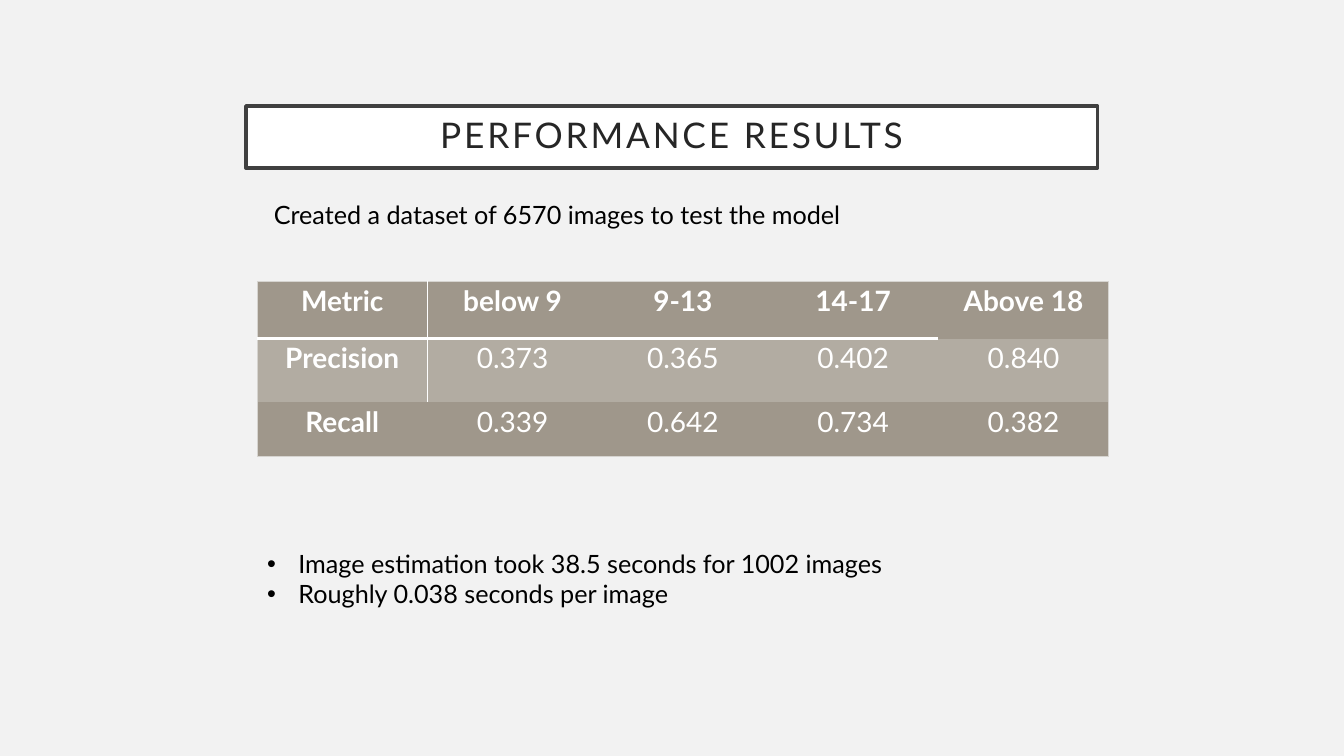
from pptx import Presentation
from pptx.dml.color import RGBColor as Rgb
from pptx.enum.text import MSO_ANCHOR as Anchor, PP_ALIGN as Align
from pptx.oxml.ns import qn
from pptx.util import Cm, Pt
from lxml.etree import SubElement as Sub

HUES = {
    "back": "F2F2F2", "white": "FFFFFF", "frame": "404040", "title": "262626",
    "text": "000000", "dark": "9F978B", "light": "B2ACA2", "edge": "D6D4D0",
}


def hue(name):
    return Rgb.from_string(HUES[name])


class Deck:
    """Holds the style and the current slide."""

    font = "Lato"

    def __init__(self):
        self.file = Presentation()
        self.file.slide_width, self.file.slide_height = Cm(33.87), Cm(19.05)
        self.slide = self.file.slides.add_slide(self.file.slide_layouts[5])
        fill = self.slide.background.fill
        fill.solid()
        fill.fore_color.rgb = hue("back")

    def run(self, para, text, size, color, bold=False):
        run = para.add_run()
        run.text = text
        font = run.font
        font.name, font.size, font.bold = self.font, Pt(size), bold
        font.color.rgb = hue(color)
        return run

    def title(self, text, box):
        shape = self.slide.shapes.title
        shape.left, shape.top, shape.width, shape.height = map(Cm, box)
        shape.fill.solid()
        shape.fill.fore_color.rgb = hue("white")
        shape.line.color.rgb = hue("frame")
        shape.line.width = Pt(2.5)
        frame = shape.text_frame
        frame.vertical_anchor = Anchor.MIDDLE
        frame.margin_left = frame.margin_right = Cm(0.5)
        frame.margin_top = frame.margin_bottom = Cm(0.5)
        para = frame.paragraphs[0]
        para.alignment, para.line_spacing = Align.CENTER, 0.9
        run = self.run(para, text, 25.2, "title")
        run.font._element.set("spc", "200")

    def text(self, lines, box, bullet=False):
        frame = self.slide.shapes.add_textbox(*map(Cm, box)).text_frame
        frame.word_wrap = True
        for i, line in enumerate(lines):
            para = frame.add_paragraph() if i else frame.paragraphs[0]
            if bullet:
                props = para._p.get_or_add_pPr()
                props.set("marL", str(Cm(0.79)))
                props.set("indent", str(-Cm(0.79)))
                Sub(props, qn("a:buFont"), typeface="Arial")
                Sub(props, qn("a:buChar"), char="•")
            self.run(para, line, 18, "text")

    def border(self, cell, side, color=None, width=0):
        line = Sub(cell._tc.get_or_add_tcPr(), qn("a:ln" + side), w=str(Pt(width)))
        if color:
            fill = Sub(line, qn("a:solidFill"))
            Sub(fill, qn("a:srgbClr"), val=HUES[color])
        else:
            Sub(line, qn("a:noFill"))

    def cell(self, cell, text, fill, bold, lines):
        for side in "LRTB":
            self.border(cell, side, *lines.get(side, ()))
        cell.fill.solid()
        cell.fill.fore_color.rgb = hue(fill)
        cell.margin_left = cell.margin_right = Cm(0.18)
        cell.margin_top = cell.margin_bottom = 0
        para = cell.text_frame.paragraphs[0]
        para.alignment, para.line_spacing = Align.CENTER, 1.07
        self.run(para, text, 20, "white", bold)

    def table(self, data, box, highs):
        rows, cols = len(data), len(data[0])
        grid = self.slide.shapes.add_table(rows, cols, *map(Cm, box)).table
        grid.first_row = grid.horz_banding = False
        for col in grid.columns:
            col.width = Cm(box[2] / cols)
        for row, high in zip(grid.rows, highs):
            row.height = Cm(high)
        edge, rule, bar = ("edge", 0.5), ("white", 2.5), ("white", 1)
        for r, line in enumerate(data):
            for c, text in enumerate(line):
                lines = {}
                # Outer edges
                if c == 0:
                    lines["L"] = edge
                if c == cols - 1:
                    lines["R"] = edge
                if r == 0:
                    lines["T"] = edge
                if r == rows - 1:
                    lines["B"] = edge
                # Rule under the header, bar beside the metric names
                if r < 2 and c < cols - 1:
                    lines["T" if r else "B"] = rule
                if r < rows - 1 and c < 2:
                    lines["L" if c else "R"] = bar
                fill = "light" if r % 2 else "dark"
                self.cell(grid.cell(r, c), text, fill, r == 0 or c == 0, lines)


deck = Deck()

# Title
deck.title("PERFORMANCE RESULTS", (6.2, 2.67, 21.46, 1.57))

# Scores by age group
scores = [
    ("Metric", "below 9", "9-13", "14-17", "Above 18"),
    ("Precision", "0.373", "0.365", "0.402", "0.840"),
    ("Recall", "0.339", "0.642", "0.734", "0.382"),
]
deck.table(scores, (6.48, 7.09, 21.46, 4.42), (1.45, 1.6, 1.37))

# Timing
deck.text(
    ["Image estimation took 38.5 seconds for 1002 images",
     "Roughly 0.038 seconds per image"],
    (6.48, 13.69, 21.46, 1.8), bullet=True)

# Dataset
deck.text(["Created a dataset of 6570 images to test the model"],
          (6.65, 4.9, 21, 1.02))

deck.file.save("out.pptx")
